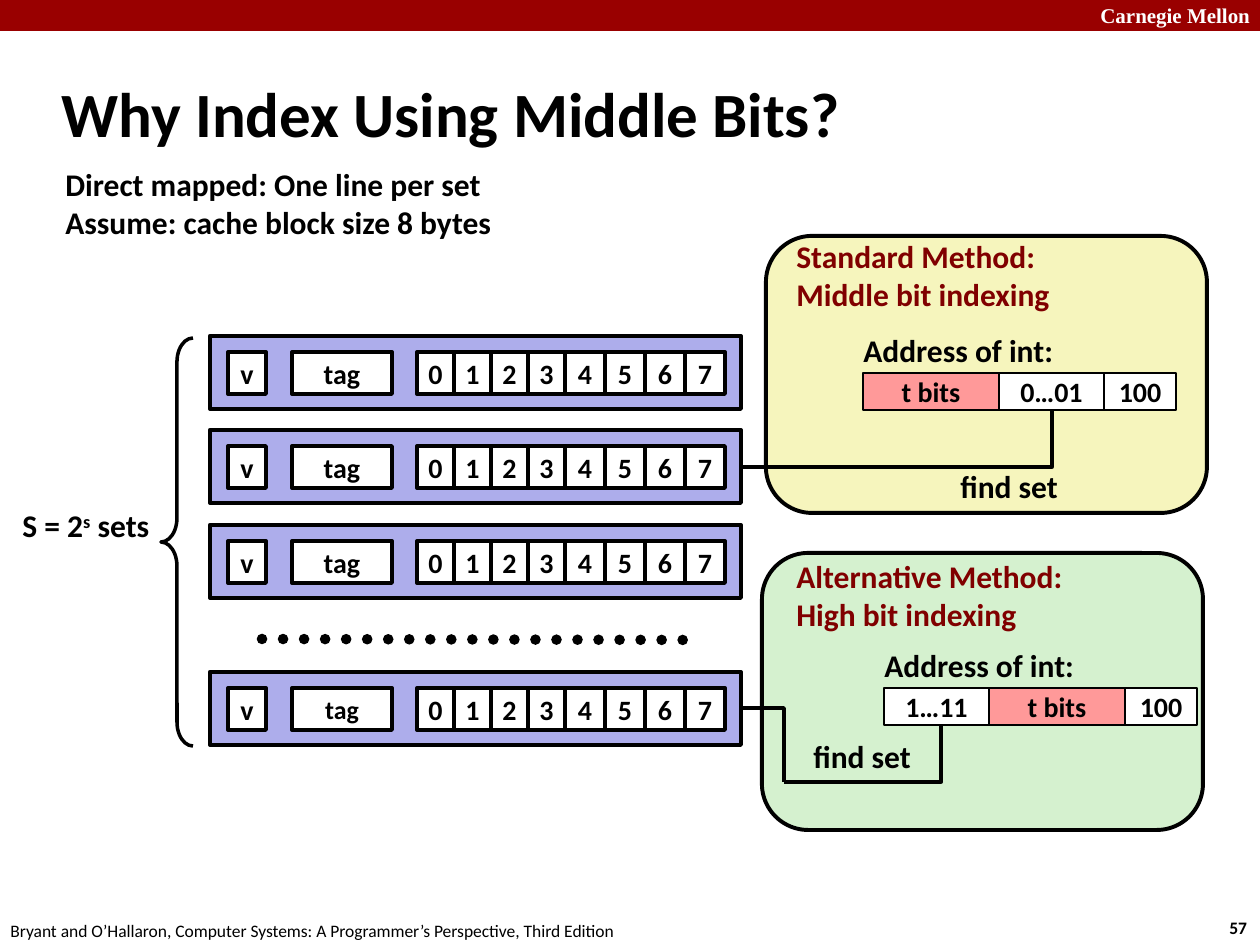
from dataclasses import dataclass

from lxml.etree import SubElement
from pptx import Presentation
from pptx.dml.color import RGBColor
from pptx.enum.dml import MSO_LINE
from pptx.enum.shapes import MSO_CONNECTOR, MSO_SHAPE
from pptx.enum.text import MSO_ANCHOR, MSO_AUTO_SIZE, PP_ALIGN
from pptx.oxml.ns import qn
from pptx.util import Emu, Pt

EMU_PER_PX = 914400 // 126


@dataclass(frozen=True)
class Theme:
    font: str = "Calibri"
    header_font: str = "Times New Roman"
    black: str = "000000"
    white: str = "FFFFFF"
    header: str = "990000"
    heading: str = "800000"
    cache_line: str = "ADADEB"
    tag_bits: str = "FF9999"
    title_size: float = 36
    body_size: float = 18
    cell_size: float = 16
    header_size: float = 12
    footer_size: float = 10
    thick: float = 2.25
    medium: float = 2
    thin: float = 1


THEME = Theme()

TITLE = "Why Index Using Middle Bits?"
HEADER = "Carnegie Mellon"
FOOTER = "Bryant and O’Hallaron, Computer Systems: A Programmer’s Perspective, Third Edition"
PAGE_NUMBER = "57"
ASSUMPTIONS = ["Direct mapped: One line per set", "Assume: cache block size 8 bytes"]
SET_COUNT = [("S = 2", ("s", "superscript"), " sets")]

# Top of each cache line and type size of its tag
CACHE_LINES = [(336, 16), (430, 16), (525, 16), (672, 14.8)]
LINE_LEFT, LINE_WIDTH, LINE_HEIGHT = 210, 531, 73
LINE_RIGHT = LINE_LEFT + LINE_WIDTH
FIELD_INSET, FIELD_HEIGHT = 16, 42
BYTES_LEFT = 417
BYTE_WIDTHS = [37] * 4 + [40] * 4

FIELD_WIDTHS = {"tag": 136, "index": 105, "offset": 72}
ADDRESS_HEIGHT = 37

METHODS = [
    {
        "panel": (766, 236, 441, 277),
        "fill": "F6F5BD",
        "heading": ["Standard Method:", "Middle bit indexing"],
        "heading_box": (784, 231, 420, 89),
        "label_box": (851, 325, 217, 50),
        "address_at": (863, 373),
        "address": [("tag", "t bits"), ("index", "0…01"), ("offset", "100")],
        "find_box": (948, 461, 123, 50),
        "elbows": [((LINE_RIGHT, 467), (1052, 410))],
    },
    {
        "panel": (762, 553, 441, 277),
        "fill": "D5F1CF",
        "heading": ["Alternative Method:", "High bit indexing"],
        "heading_box": (784, 551, 295, 89),
        "label_box": (872, 640, 217, 50),
        "address_at": (884, 688),
        "address": [("index", "1…11"), ("tag", "t bits"), ("offset", "100")],
        "find_box": (801, 731, 123, 50),
        "elbows": [((784, 782), (941, 725)), ((LINE_RIGHT, 708), (784, 782))],
    },
]


def px(*lengths):
    return [Emu(length * EMU_PER_PX) for length in lengths]


def color(value):
    return RGBColor.from_string(value)


def write_text(shape, lines, *, size=THEME.body_size, font=THEME.font, fill=THEME.black,
               bold=True, align=PP_ALIGN.LEFT, anchor=MSO_ANCHOR.TOP, wrap=False):
    """Fill a shape; a line is a string or a sequence of runs, each text or (text, "superscript")."""
    frame = shape.text_frame
    frame.word_wrap = wrap
    frame.vertical_anchor = anchor
    for number, line in enumerate(lines):
        paragraph = frame.paragraphs[0] if number == 0 else frame.add_paragraph()
        paragraph.alignment = align
        for part in [line] if isinstance(line, str) else line:
            raised = not isinstance(part, str)
            run = paragraph.add_run()
            run.text = part[0] if raised else part
            run.font.name, run.font.size, run.font.bold = font, Pt(size), bold
            run.font.color.rgb = color(fill)
            if raised:
                run.font._element.set("baseline", "30000")


def add_label(slide, box, lines, **text_format):
    label = slide.shapes.add_textbox(*px(*box))
    write_text(label, lines, **text_format)
    label.text_frame.auto_size = MSO_AUTO_SIZE.SHAPE_TO_FIT_TEXT


def add_box(slide, box, fill=None, line_width=THEME.thick, kind=MSO_SHAPE.RECTANGLE):
    shape = slide.shapes.add_shape(kind, *px(*box))
    shape.shadow.inherit = False
    if fill:
        shape.fill.solid()
        shape.fill.fore_color.rgb = color(fill)
    else:
        shape.fill.background()
    if line_width:
        shape.line.color.rgb = color(THEME.black)
        shape.line.width = Pt(line_width)
    else:
        shape.line.fill.background()
    return shape


def add_cell(slide, box, text, fill=THEME.white, line_width=THEME.thick, size=THEME.cell_size):
    cell = add_box(slide, box, fill, line_width)
    frame = cell.text_frame
    frame.margin_left = frame.margin_right = frame.margin_top = frame.margin_bottom = 0
    write_text(cell, [text], size=size, align=PP_ALIGN.CENTER, anchor=MSO_ANCHOR.MIDDLE)


def add_line(slide, start, end, width, kind=MSO_CONNECTOR.STRAIGHT):
    connector = slide.shapes.add_connector(kind, *px(*start, *end))
    connector.line.color.rgb = color(THEME.black)
    connector.line.width = Pt(width)
    SubElement(connector._element.spPr, qn("a:effectLst"))
    return connector


def add_elbow(slide, start, end):
    """Run level from start, then turn once, straight up or down to end."""
    connector = add_line(slide, start, end, THEME.medium, MSO_CONNECTOR.ELBOW)
    adjustments = connector._element.spPr.find(qn("a:prstGeom")).get_or_add_avLst()
    SubElement(adjustments, qn("a:gd"), name="adj1", fmla="val 100000")


def add_cache_line(slide, top, tag_size):
    add_box(slide, (LINE_LEFT, top, LINE_WIDTH, LINE_HEIGHT), THEME.cache_line)
    field_top = top + FIELD_INSET
    add_cell(slide, (228, field_top, 38, FIELD_HEIGHT), "v")
    add_cell(slide, (292, field_top, 100, FIELD_HEIGHT), "tag", size=tag_size)
    left = BYTES_LEFT
    for number, width in enumerate(BYTE_WIDTHS):
        add_cell(slide, (left, field_top, width, FIELD_HEIGHT), str(number))
        left += width


def add_method(slide, method):
    add_box(slide, method["panel"], method["fill"], kind=MSO_SHAPE.ROUNDED_RECTANGLE)
    add_label(slide, method["heading_box"], method["heading"], fill=THEME.heading, wrap=True)
    add_label(slide, method["label_box"], ["Address of int:"])
    left, top = method["address_at"]
    for field, text in method["address"]:
        width = FIELD_WIDTHS[field]
        fill = THEME.tag_bits if field == "tag" else THEME.white
        add_cell(slide, (left, top, width, ADDRESS_HEIGHT), text, fill, THEME.thin)
        left += width
    add_label(slide, method["find_box"], ["find set"])
    for start, end in method["elbows"]:
        add_elbow(slide, start, end)


def main():
    presentation = Presentation()
    presentation.slide_width, presentation.slide_height = px(1260, 945)
    slide = presentation.slides.add_slide(presentation.slide_layouts[5])

    title = slide.shapes.title
    title.left, title.top, title.width, title.height = px(49, 60, 1046, 105)
    write_text(title, [TITLE], size=THEME.title_size, anchor=MSO_ANCHOR.MIDDLE, wrap=True)
    title.text_frame.auto_size = MSO_AUTO_SIZE.NONE

    add_box(slide, (0, 0, 1260, 31), THEME.header, line_width=None)
    add_label(slide, (1088, -4, 180, 38), [HEADER], size=THEME.header_size,
              font=THEME.header_font, fill=THEME.white, wrap=True)
    add_label(slide, (1217, 911, 47, 34), [PAGE_NUMBER], size=THEME.footer_size)
    add_label(slide, (-2, 914, 640, 34), [FOOTER], size=THEME.footer_size, bold=False)
    add_label(slide, (53, 159, 455, 89), ASSUMPTIONS)
    add_label(slide, (10, 500, 155, 50), SET_COUNT)

    brace = add_box(slide, (161, 338, 32, 408), line_width=THEME.medium, kind=MSO_SHAPE.LEFT_BRACE)
    brace.adjustments[0] = 0.75
    for top, tag_size in CACHE_LINES:
        add_cache_line(slide, top, tag_size)
    dots = add_line(slide, (262, 639), (693, 640), 6)
    dots.line.dash_style = MSO_LINE.ROUND_DOT
    dots.line._get_or_add_ln().set("cap", "rnd")

    for method in METHODS:
        add_method(slide, method)
    presentation.save("out.pptx")


if __name__ == "__main__":
    main()
